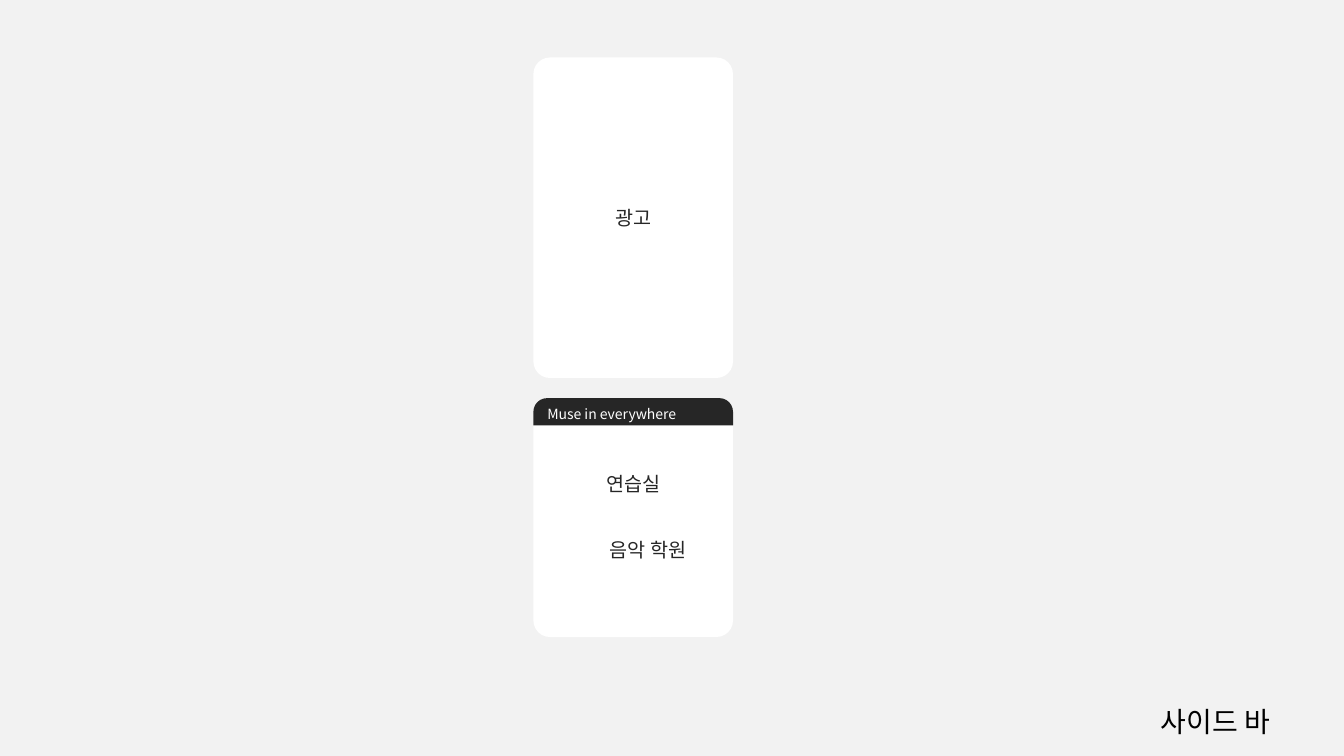
from lxml.etree import SubElement
from pptx import Presentation
from pptx.dml.color import RGBColor
from pptx.enum.shapes import MSO_SHAPE
from pptx.enum.text import MSO_ANCHOR, PP_ALIGN
from pptx.oxml.ns import qn
from pptx.util import Inches, Pt

GREY = RGBColor(0xF2, 0xF2, 0xF2)
WHITE = RGBColor(0xFF, 0xFF, 0xFF)
DARK = RGBColor(0x26, 0x26, 0x26)
BLACK = RGBColor(0, 0, 0)
FACE = "Noto Sans CJK KR"

# Sidebar column shared by both cards
LEFT, WIDE = 5.29, 1.98
ROUND = 0.083


class Page:
    """Holds the text style and the current slide."""

    def __init__(self, slide):
        self.slide = slide
        self.style = {"name": FACE, "size": Pt(14)}
        fill = slide.background.fill
        fill.solid()
        fill.fore_color.rgb = GREY

    def text(self, shape, words, color=DARK, align=PP_ALIGN.CENTER,
             anchor=MSO_ANCHOR.TOP, **style):
        frame = shape.text_frame
        frame.word_wrap = True
        frame.vertical_anchor = anchor
        para = frame.paragraphs[0]
        para.alignment = align
        run = para.add_run()
        run.text = words
        for key, value in {**self.style, **style}.items():
            setattr(run.font, key, value)
        run.font.color.rgb = color
        # Hangul takes the East Asian face
        SubElement(run.font._element, qn("a:ea"), typeface=FACE)

    def card(self, kind, top, high, fill, *rounds):
        shape = self.slide.shapes.add_shape(
            kind, Inches(LEFT), Inches(top), Inches(WIDE), Inches(high))
        shape.shadow.inherit = False
        shape.fill.solid()
        shape.fill.fore_color.rgb = fill
        shape.line.fill.background()
        for i, value in enumerate(rounds):
            shape.adjustments[i] = value
        return shape

    def label(self, words, left, top):
        box = self.slide.shapes.add_textbox(
            Inches(left), Inches(top), Inches(6.8), Inches(0.34))
        self.text(box, words)

    def title(self, words, left, top, width, height):
        shape = self.slide.shapes.title
        spot = {"left": left, "top": top, "width": width, "height": height}
        for key, value in spot.items():
            setattr(shape, key, Inches(value))
        self.text(shape, words, BLACK, size=Pt(20))


def main():
    deck = Presentation()
    deck.slide_width, deck.slide_height = Inches(13.33), Inches(7.5)
    page = Page(deck.slides.add_slide(deck.slide_layouts[5]))

    # Places card with its dark header
    body = page.card(MSO_SHAPE.ROUNDED_RECTANGLE, 3.95, 2.37, WHITE, ROUND)
    head = page.card(MSO_SHAPE.ROUND_2_SAME_RECTANGLE, 3.95, 0.27, DARK, 0.5, 0)
    page.text(head, "Muse in everywhere", WHITE, PP_ALIGN.LEFT,
              MSO_ANCHOR.MIDDLE, size=Pt(10))
    page.slide.shapes.add_group_shape([body, head])

    # Advert card
    advert = page.card(MSO_SHAPE.ROUNDED_RECTANGLE, 0.57, 3.18, WHITE, ROUND)
    page.text(advert, "광고", anchor=MSO_ANCHOR.MIDDLE)

    # Places listed in the lower card
    page.label("연습실", 2.88, 4.63)
    page.label("음악 학원", 3.03, 5.29)

    # Slide name in the corner
    page.title("사이드 바", 10.58, 6.94, 2.95, 0.44)

    deck.save("out.pptx")


if __name__ == "__main__":
    main()
